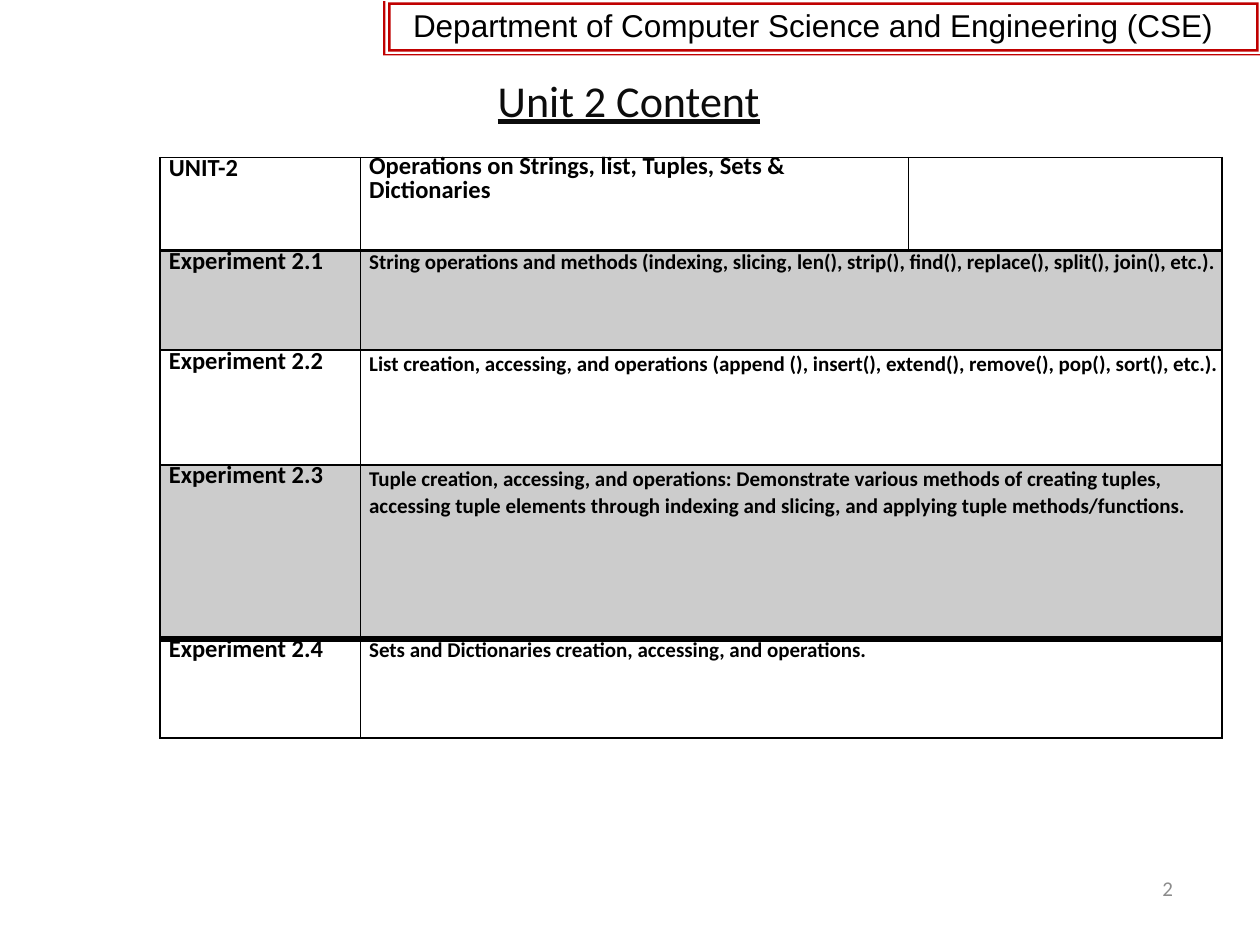
from pptx import Presentation
from pptx.dml.color import RGBColor
from pptx.enum.text import MSO_ANCHOR, PP_ALIGN
from pptx.oxml import parse_xml
from pptx.oxml.ns import nsdecls
from pptx.util import Inches, Pt

BLACK = RGBColor(0, 0, 0)
TITLE = RGBColor(0x0C, 0x0C, 0x0C)
GREY = RGBColor(0x8C, 0x8C, 0x8C)
BAND = RGBColor(0xCC, 0xCC, 0xCC)
RED = RGBColor(0xC0, 0, 0)

COLS = [1.59, 4.35, 2.49]
ROW_HEIGHTS = [0.74, 0.79, 0.91, 1.38, 0.79]
RULES = [1, 2, 1, 1, 4, 1]
ROWS = [
    ("UNIT-2", "Operations on Strings, list, Tuples, Sets & Dictionaries", 14, Pt(13.7)),
    ("Experiment 2.1", "String operations and methods (indexing, slicing, len(), strip(), "
     "find(), replace(), split(), join(), etc.).", 12, Pt(13.7)),
    ("Experiment 2.2", "List creation, accessing, and operations (append (), insert(), "
     "extend(), remove(), pop(), sort(), etc.).", 12, 1.07),
    ("Experiment 2.3", "Tuple creation, accessing, and operations: Demonstrate various methods "
     "of creating tuples, accessing tuple elements through indexing and slicing, and applying "
     "tuple methods/functions.", 12, 1.07),
    ("Experiment 2.4", "Sets and Dictionaries creation, accessing, and operations.", 12, Pt(13.7)),
]
BANDED_ROWS = (1, 3)

FRAME = [(9.99, 0.02), (3.08, 0.02), (3.08, 0.41), (9.99, 0.41), (9.99, 0.04),
         (9.97, 0.04), (9.97, 0.39), (3.1, 0.39), (3.1, 0.04), (9.99, 0.04)]
CORNER = [(10, 0.43), (3.06, 0.43), (3.06, 0.01), (3.04, 0.01), (3.04, 0.44), (10, 0.44)]


def set_margins(obj, size):
    for side in ("left", "right", "top", "bottom"):
        setattr(obj, f"margin_{side}", Inches(size))


def write(p, text, color, **formats):
    r = p.add_run()
    r.text = text
    r.font.color.rgb = color
    for name, value in formats.items():
        setattr(r.font, name, value)


def indent(p, left):
    pPr = p._p.get_or_add_pPr()
    pPr.set("marL", str(Inches(left)))
    pPr.set("indent", "0")


def add_text(s, box, text, color, **formats):
    tf = s.shapes.add_textbox(*map(Inches, box)).text_frame
    tf.word_wrap = True
    p = tf.paragraphs[0]
    write(p, text, color, **formats)
    return tf, p


def add_title(s, text):
    title = s.shapes.title
    title.left, title.top, title.width, title.height = map(Inches, (0.68, 0.58, 8.62, 0.49))
    tf = title.text_frame
    set_margins(tf, 0)
    tf.vertical_anchor = MSO_ANCHOR.TOP
    p = tf.paragraphs[0]
    p.alignment = PP_ALIGN.CENTER
    write(p, text, TITLE, size=Pt(25.2), name="Calibri", underline=True)


def add_borders(cell, top, bottom):
    tcPr = cell._tc.get_or_add_tcPr()
    for side, width in (("L", 1), ("R", 1), ("T", top), ("B", bottom)):
        tcPr.append(parse_xml(
            f'<a:ln{side} {nsdecls("a")} w="{Pt(width)}"><a:solidFill>'
            f'<a:srgbClr val="{BLACK}"/></a:solidFill></a:ln{side}>'))


def fill_cell(cell, text, size, spacing):
    p = cell.text_frame.paragraphs[0]
    indent(p, 0.07)
    p.line_spacing = spacing
    write(p, text, BLACK, size=Pt(size), name="Calibri", bold=True)


def add_unit_table(s):
    box = map(Inches, (1.27, 1.25, sum(COLS), sum(ROW_HEIGHTS)))
    table = s.shapes.add_table(len(ROWS), len(COLS), *box).table
    table.first_row = table.horz_banding = False
    for column, width in zip(table.columns, COLS):
        column.width = Inches(width)
    for i, (label, topic, size, spacing) in enumerate(ROWS):
        table.rows[i].height = Inches(ROW_HEIGHTS[i])
        for j in range(len(COLS)):
            cell = table.cell(i, j)
            set_margins(cell, 0)
            add_borders(cell, RULES[i], RULES[i + 1])
            if i in BANDED_ROWS:
                cell.fill.solid()
                cell.fill.fore_color.rgb = BAND
            else:
                cell.fill.background()
        if i > 0:
            table.cell(i, 1).merge(table.cell(i, 2))
        fill_cell(table.cell(i, 0), label, 14, Pt(14.6))
        fill_cell(table.cell(i, 1), topic, size, spacing)


def add_header_frame(s):
    frame, corner = ([(Inches(x), Inches(y)) for x, y in points] for points in (FRAME, CORNER))
    builder = s.shapes.build_freeform(*frame[0])
    builder.add_line_segments(frame[1:], close=True)
    builder.move_to(*corner[0])
    builder.add_line_segments(corner[1:], close=True)
    sp = builder.convert_to_shape()
    sp.shadow.inherit = False
    sp.fill.solid()
    sp.fill.fore_color.rgb = RED
    sp.line.fill.background()


def main():
    prs = Presentation()
    prs.slide_width, prs.slide_height = Inches(10), Inches(7.5)
    s = prs.slides.add_slide(prs.slide_layouts[5])
    add_title(s, "Unit 2 Content")
    tf, p = add_text(s, (7.06, 6.95, 2.25, 0.4), "2", GREY, size=Pt(12), name="Calibri")
    set_margins(tf, 0)
    p.alignment = PP_ALIGN.RIGHT
    add_unit_table(s)
    add_header_frame(s)
    tf, p = add_text(s, (2.57, 0, 7.43, 0.4),
                     "Department of Computer Science and Engineering (CSE)",
                     BLACK, size=Pt(18), name="Arial")
    indent(p, 0.61)
    prs.save("out.pptx")


if __name__ == "__main__":
    main()
